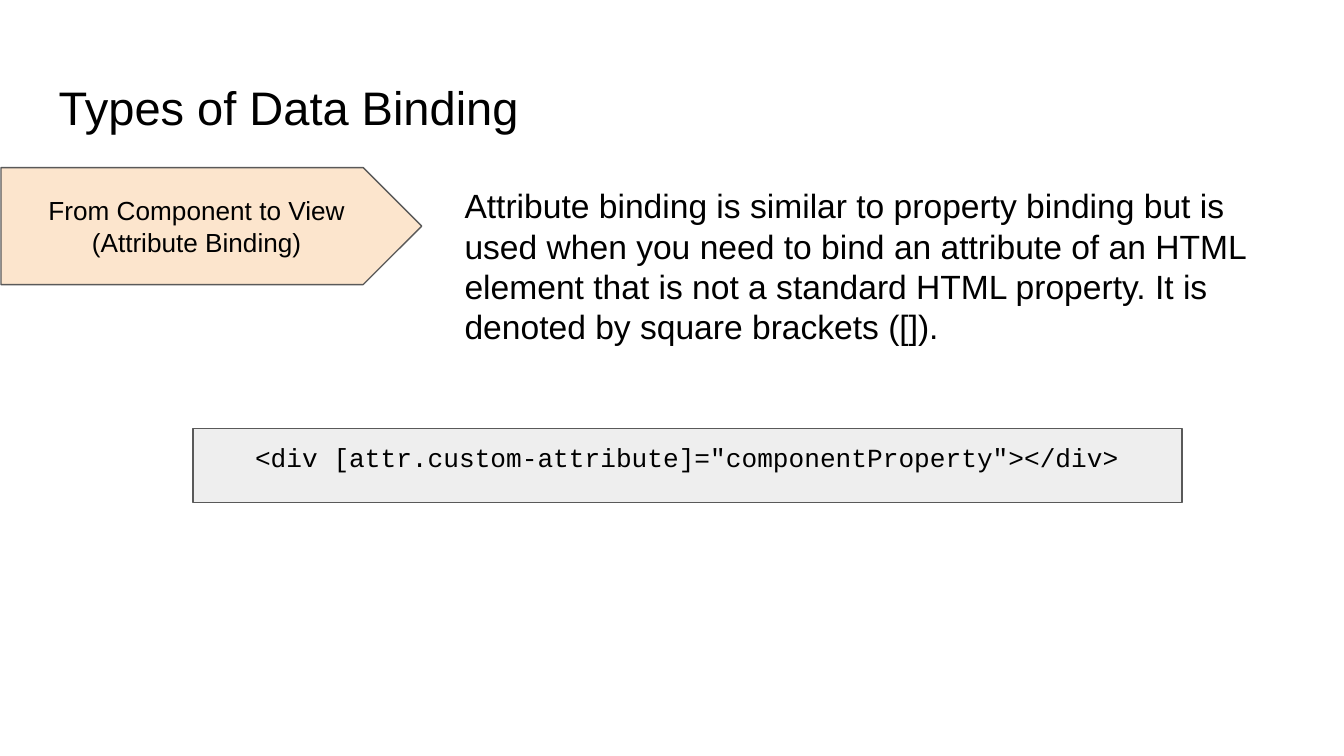
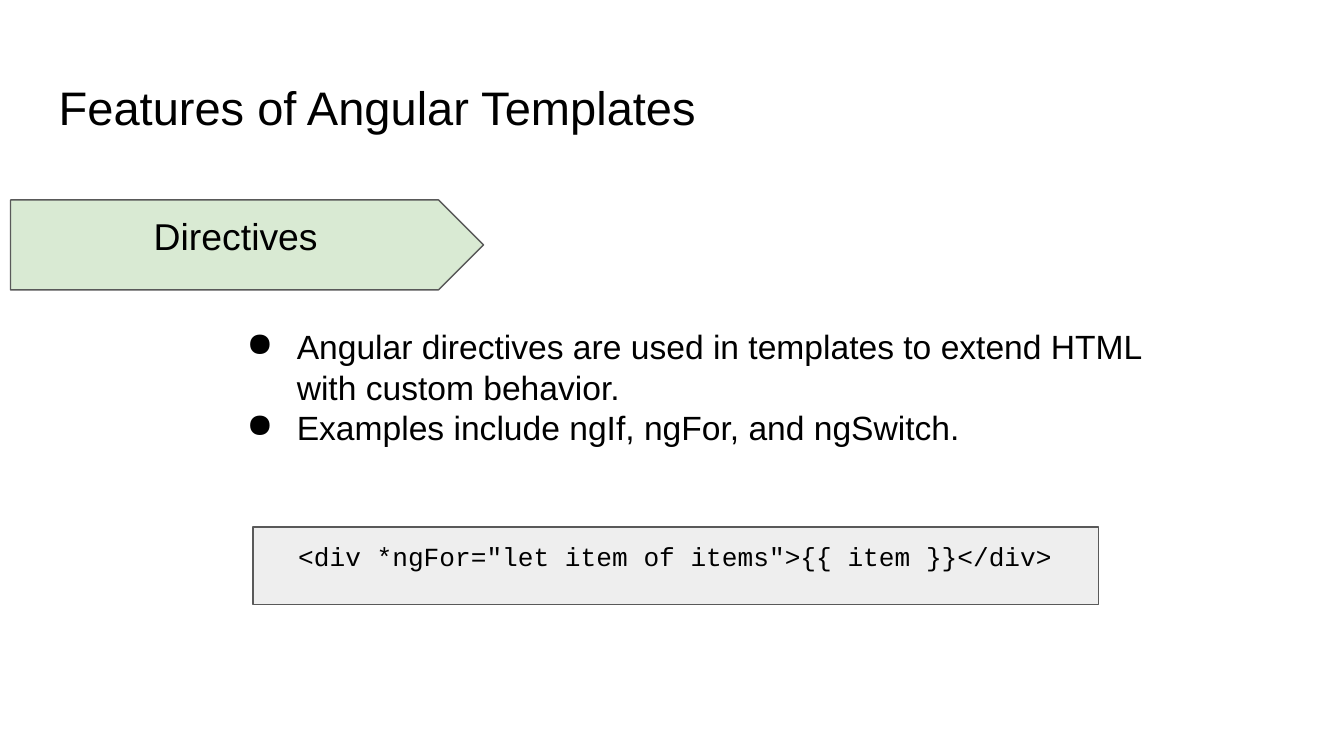
from lxml import etree
from pptx import Presentation
from pptx import util as u
from pptx.dml.color import RGBColor
from pptx.enum import shapes, text
from pptx.oxml.ns import qn

HUES = {
    "ink": "000000",
    "edge": "595959",
    "peach": "FCE5CD",
    "green": "D9EAD3",
    "code": "EEEEEE",
}
SANS = "Arial"
MONO = "Courier New"
INSET = u.Cm(0.25)
ALIGN = text.PP_ALIGN
ANCHOR = text.MSO_ANCHOR
KIND = shapes.MSO_SHAPE


def hue(name):
    return RGBColor.from_string(HUES[name])


def box(at):
    return [u.Cm(n) for n in at]


def dot(para):
    """Give a paragraph a hanging round bullet."""
    props = para._p.get_or_add_pPr()
    props.set("marL", str(u.Cm(1.27)))
    props.set("indent", str(u.Cm(-0.95)))
    shade = etree.SubElement(props, qn("a:buClr"))
    etree.SubElement(shade, qn("a:srgbClr"), val=HUES["ink"])
    etree.SubElement(props, qn("a:buChar"), char="●")


def write(shape, lines, size, font=SANS, align=ALIGN.LEFT,
          anchor=ANCHOR.TOP, fit=text.MSO_AUTO_SIZE.NONE, dots=False):
    frame = shape.text_frame
    frame.word_wrap = True
    frame.auto_size = fit
    frame.vertical_anchor = anchor
    frame.margin_left = frame.margin_right = INSET
    frame.margin_top = frame.margin_bottom = INSET
    for i, line in enumerate(lines):
        para = frame.add_paragraph() if i else frame.paragraphs[0]
        para.alignment = align
        if dots:
            dot(para)
        run = para.add_run()
        run.text = line
        run.font.name = font
        run.font.size = u.Pt(size)
        run.font.color.rgb = hue("ink")


def start(deck, title):
    """Add a slide with the shared title style."""
    slide = deck.slides.add_slide(deck.slide_layouts[5])
    head = slide.shapes.title
    head.left, head.top, head.width, head.height = box((0.86, 1.24, 23.67, 1.6))
    write(head, [title], 25.2)
    return slide


def panel(slide, kind, at, fill, line, size, **style):
    shape = slide.shapes.add_shape(kind, *box(at))
    shape.shadow.inherit = False
    shape.fill.solid()
    shape.fill.fore_color.rgb = hue(fill)
    shape.line.color.rgb = hue("edge")
    shape.line.width = u.Pt(0.75)
    write(shape, [line], size, align=ALIGN.CENTER, **style)


def tag(slide, at, fill, line, size, anchor=ANCHOR.TOP):
    panel(slide, KIND.PENTAGON, at, fill, line, size, anchor=anchor)


def code(slide, at, line):
    panel(slide, KIND.RECTANGLE, at, "code", line, 14, font=MONO)


def body(slide, at, lines, dots=False):
    write(slide.shapes.add_textbox(*box(at)), lines, 18, dots=dots,
          fit=text.MSO_AUTO_SIZE.SHAPE_TO_FIT_TEXT)


def main():
    deck = Presentation()
    deck.slide_width, deck.slide_height = u.Cm(25.4), u.Cm(14.29)

    # Attribute binding
    slide = start(deck, "Types of Data Binding")
    tag(slide, (0.02, 3.17, 7.95, 2.21), "peach",
        "From Component to View (Attribute Binding)", 14, ANCHOR.MIDDLE)
    body(slide, (8.53, 3.25, 15.82, 3.58), [
        "Attribute binding is similar to property binding but is used when "
        "you need to bind an attribute of an HTML element that is not a "
        "standard HTML property. It is denoted by square brackets ([])."])
    code(slide, (3.65, 8.1, 18.69, 1.4),
         '<div [attr.custom-attribute]="componentProperty"></div>')

    # Directives
    slide = start(deck, "Features of Angular Templates")
    body(slide, (4.09, 5.92, 18.16, 3.58), [
        "Angular directives are used in templates to extend HTML with "
        "custom behavior.",
        "Examples include ngIf, ngFor, and ngSwitch."], dots=True)
    tag(slide, (0.2, 3.78, 8.94, 1.7), "green", "Directives", 20)
    code(slide, (4.78, 9.96, 15.98, 1.47),
         '<div *ngFor="let item of items">{{ item }}</div>')

    deck.save("out.pptx")


if __name__ == "__main__":
    main()
